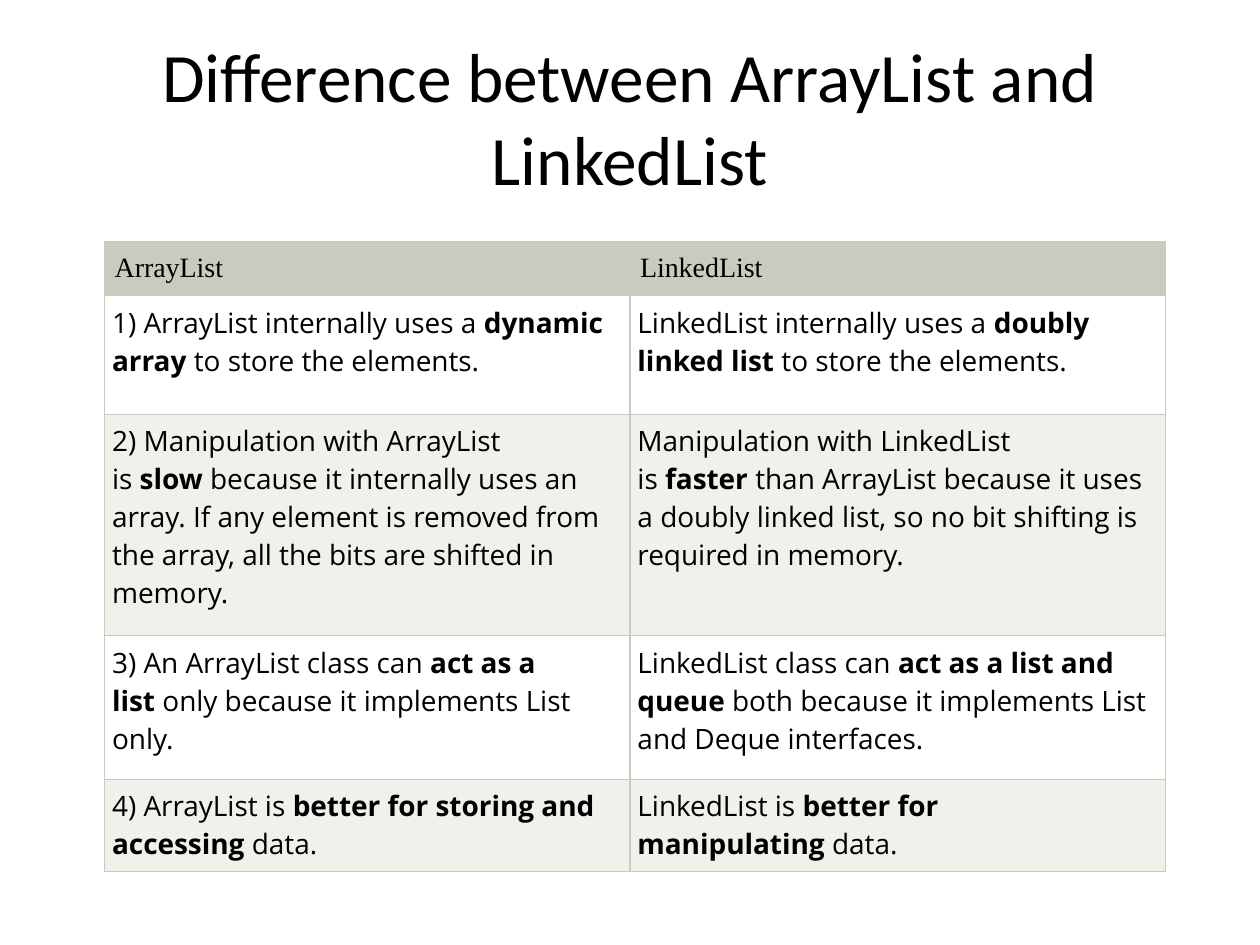
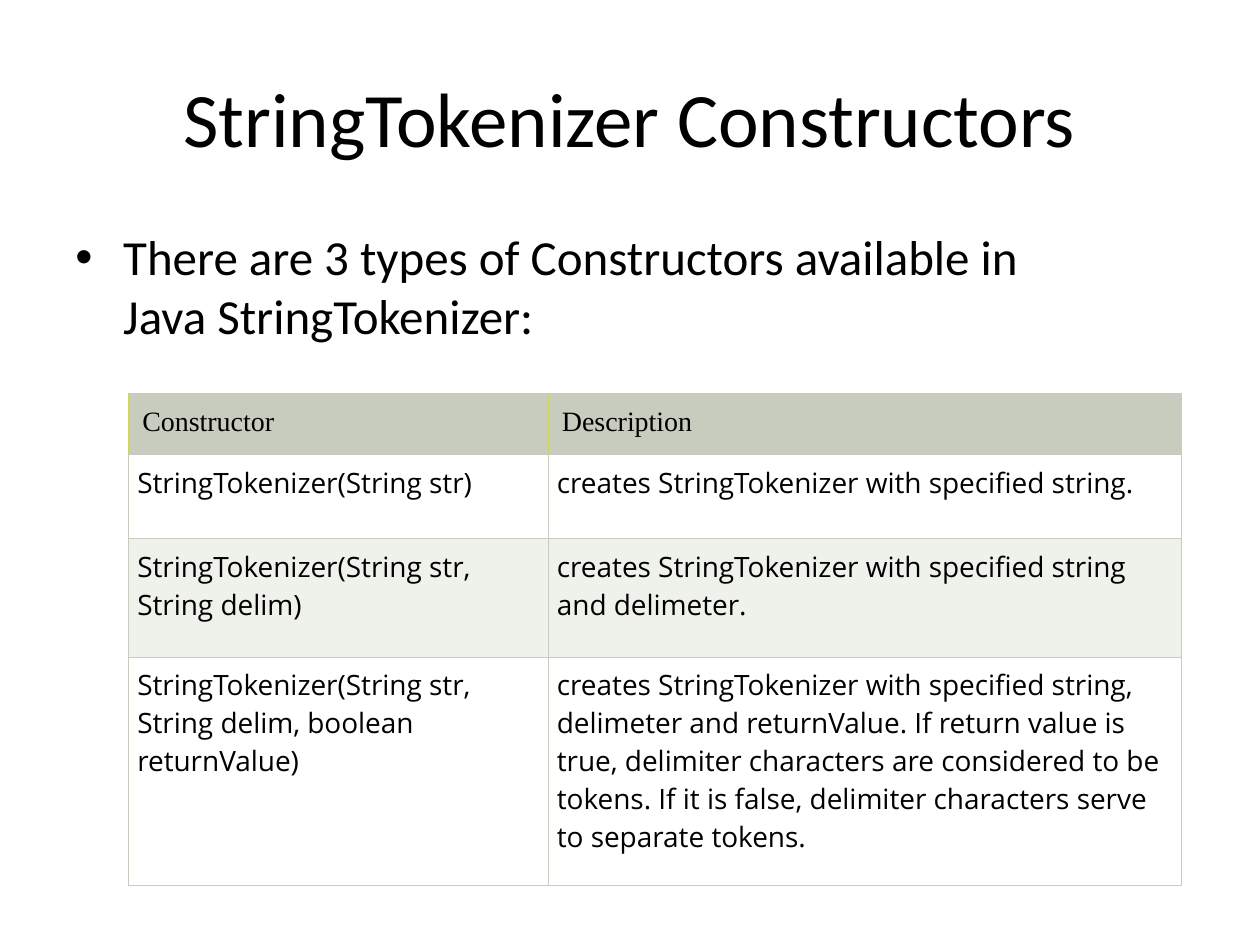
"""Build two slides comparing Java lists and listing StringTokenizer constructors."""
from dataclasses import dataclass

import pptx
import pptx.dml.color
import pptx.enum.text
import pptx.oxml.ns
import pptx.util
from lxml import etree
from pptx.util import Inches

NO_BREAK_SPACE = chr(160)


@dataclass(frozen=True)
class Theme:
    ink: str = "000000"
    header_fill: str = "C7CCBE"
    row_fills: tuple = ("FFFFFF", "EFF1EB")
    border: str = "C7CCBE"
    accent: str = "D0D45A"
    border_width: float = 0.75
    title_font: str = "Calibri"
    bullet_font: str = "Arial"
    header_font: str = "Times New Roman"
    cell_font: str = "Open Sans"
    title_size: float = 44
    long_title_size: float = 39.6
    body_size: float = 28
    cell_size: float = 16


class Deck:
    def __init__(self, theme):
        self.theme = theme
        self.deck = pptx.Presentation()
        self.deck.slide_width, self.deck.slide_height = Inches(10), Inches(7.5)
        self.page = None

    def add_page(self):
        self.page = self.deck.slides.add_slide(self.deck.slide_layouts[6])

    def style(self, para, font, size):
        para.font.name = font
        para.font.size = pptx.util.Pt(size)
        para.font.color.rgb = pptx.dml.color.RGBColor.from_string(self.theme.ink)

    def add_spans(self, para, text):
        for index, part in enumerate(text.replace("~", NO_BREAK_SPACE).split("*")):
            span = para.add_run()
            span.text = part
            if index % 2:
                span.font.bold = True

    def add_text(self, text, top, height, size):
        box = self.page.shapes.add_textbox(Inches(0.5), Inches(top), Inches(9), Inches(height))
        box.text_frame.word_wrap = True
        para = box.text_frame.paragraphs[0]
        self.add_spans(para, text)
        self.style(para, self.theme.title_font, size)
        return box.text_frame, para

    def add_title(self, text, size):
        frame, para = self.add_text(text, 0.3, 1.25, size)
        frame.vertical_anchor = pptx.enum.text.MSO_ANCHOR.MIDDLE
        para.alignment = pptx.enum.text.PP_ALIGN.CENTER

    def add_bullet(self, text):
        size = self.theme.body_size
        para = self.add_text(text, 1.75, 4.95, size)[1]
        para.space_before = pptx.util.Pt(size * 0.2)
        properties = para._p.get_or_add_pPr()
        properties.set("marL", str(Inches(0.38)))
        properties.set("indent", str(-Inches(0.38)))
        defaults = properties.find(pptx.oxml.ns.qn("a:defRPr"))
        for tag, name, value in (("a:buFont", "typeface", self.theme.bullet_font),
                                 ("a:buChar", "char", "•")):
            defaults.addprevious(etree.Element(pptx.oxml.ns.qn(tag), {name: value}))

    def add_borders(self, cell, left_color):
        properties = cell._tc.get_or_add_tcPr()
        width = str(pptx.util.Pt(self.theme.border_width))
        for side in "LRTB":
            line = etree.SubElement(properties, pptx.oxml.ns.qn(f"a:ln{side}"), w=width)
            fill = etree.SubElement(line, pptx.oxml.ns.qn("a:solidFill"))
            color = left_color if side == "L" else self.theme.border
            etree.SubElement(fill, pptx.oxml.ns.qn("a:srgbClr"), val=color)

    def fill_cell(self, cell, text, font, fill, margin, left_color):
        self.add_borders(cell, left_color)
        cell.fill.solid()
        cell.fill.fore_color.rgb = pptx.dml.color.RGBColor.from_string(fill)
        cell.margin_left = cell.margin_right = Inches(margin)
        cell.margin_top = cell.margin_bottom = Inches(margin)
        para = cell.text_frame.paragraphs[0]
        self.style(para, font, self.theme.cell_size)
        self.add_spans(para, text)

    def add_table(self, left, top, widths, heights, rows, header_margin, margin, header_line):
        theme = self.theme
        table = self.page.shapes.add_table(
            len(rows), len(widths), Inches(left), Inches(top),
            Inches(sum(widths)), Inches(sum(heights))).table
        table.first_row = table.horz_banding = False
        for column, width in zip(table.columns, widths):
            column.width = Inches(width)
        for index, (row, height, texts) in enumerate(zip(table.rows, heights, rows)):
            row.height = Inches(height)
            if index == 0:
                look = theme.header_font, theme.header_fill, header_margin, header_line
            else:
                look = theme.cell_font, theme.row_fills[(index - 1) % 2], margin, theme.border
            for cell, text in zip(row.cells, texts):
                self.fill_cell(cell, text, *look)


LIST_ROWS = [
    ("ArrayList", "LinkedList"),
    ("1) ArrayList internally uses a~*dynamic array*~to store the elements.",
     "LinkedList internally uses a~*doubly linked list*~to store the elements."),
    ("2) Manipulation with ArrayList is~*slow*~because it internally uses an array. "
     "If any element is removed from the array, all the bits are shifted in memory.",
     "Manipulation with LinkedList is~*faster*~than ArrayList because it uses "
     "a doubly linked list, so no bit shifting is required in memory."),
    ("3) An ArrayList class can~*act as a list*~only because it implements List only.",
     "LinkedList class can~*act as a list and queue*~both because it implements "
     "List and Deque interfaces."),
    ("4) ArrayList is~*better for storing and accessing*~data.",
     "LinkedList is~*better for manipulating*~data."),
]

CONSTRUCTOR_ROWS = [
    ("Constructor", "Description"),
    ("StringTokenizer(String str)", "creates StringTokenizer with specified string."),
    ("StringTokenizer(String str, String delim)",
     "creates StringTokenizer with specified string and delimeter."),
    ("StringTokenizer(String str, String delim, boolean returnValue)",
     "creates StringTokenizer with specified string, delimeter and returnValue. "
     "If return value is true, delimiter characters are considered to be tokens. "
     "If it is false, delimiter characters serve to separate tokens."),
]


def main():
    theme = Theme()
    deck = Deck(theme)

    deck.add_page()
    deck.add_title("Difference between ArrayList and LinkedList", theme.long_title_size)
    deck.add_table(0.83, 1.92, (4.17, 4.25), (0.38, 0.94, 1.76, 1.14, 0.73),
                   LIST_ROWS, 0.08, 0.06, theme.border)

    deck.add_page()
    deck.add_title("StringTokenizer Constructors", theme.title_size)
    deck.add_bullet("There are 3~types of Constructors available in Java~StringTokenizer:")
    deck.add_table(1.02, 3.12, (3.33, 5.03), (0.48, 0.67, 0.94, 1.81),
                   CONSTRUCTOR_ROWS, 0.11, 0.07, theme.accent)

    deck.deck.save("out.pptx")


if __name__ == "__main__":
    main()
